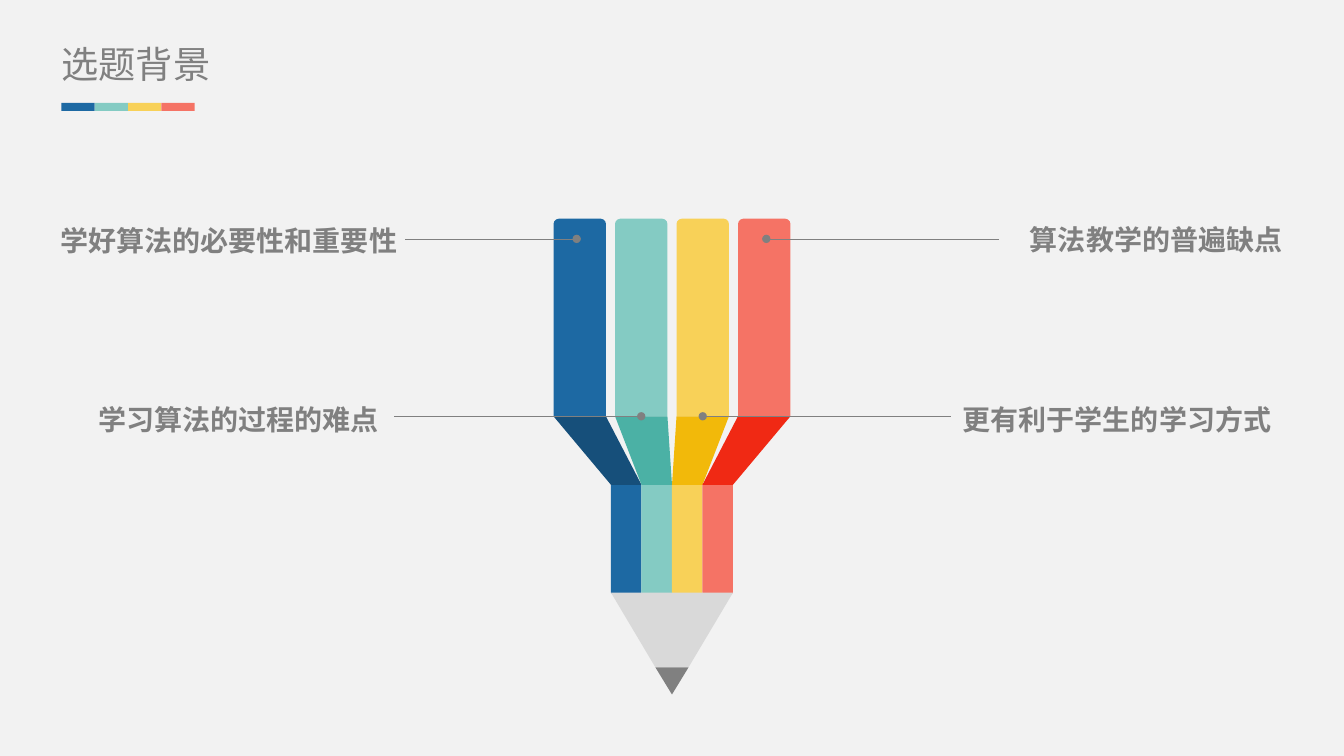
from lxml import etree
from pptx import Presentation
from pptx import util as u
from pptx.dml.color import RGBColor
from pptx.enum import lang, shapes, text
from pptx.oxml.ns import qn

COLOURS = {
    "background": "F2F2F2",
    "grey": "808080",
    "wood": "D9D9D9",
    "blue": "1D69A3",
    "teal": "84CBC3",
    "yellow": "F8D158",
    "red": "F57365",
    "dark blue": "164F7A",
    "dark teal": "4BB1A5",
    "dark yellow": "F2B90A",
    "dark red": "F02914",
}
STRIPES = ["blue", "teal", "yellow", "red"]

BAR_LEFT, BAR_STEP, BAR_WIDTH = 5.49, 0.61, 0.52
BAR_TOP, BAR_BOTTOM = 2.17, 4.13
BODY_LEFT, BODY_RIGHT, BODY_TOP, BODY_BOTTOM = 6.06, 7.27, 4.81, 5.88
BODY_STEP = (BODY_RIGHT - BODY_LEFT) / len(STRIPES)
STRIPE_TIP = 6.03
LEAD_LEFT, LEAD_RIGHT, LEAD_TOP, LEAD_TIP = 6.5, 6.83, 6.62, 6.89
SWATCH_WIDTH = 0.33

# text, box left, box top, line start x, dot x, line y
LABELS = [
    ("学好算法的必要性和重要性", 0.41, 2.22, 4.02, 5.72, 2.37),
    ("学习算法的过程的难点", 0.23, 3.99, 3.91, 6.36, 4.13),
    ("算法教学的普遍缺点", 9.19, 2.21, 9.91, 7.6, 2.37),
    ("更有利于学生的学习方式", 9.08, 3.99, 9.43, 6.97, 4.13),
]


class SlideBuilder:
    def __init__(self, slide):
        self.slide = slide
        fill = slide.background.fill
        fill.solid()
        fill.fore_color.rgb = self.colour("background")

    def colour(self, name):
        return RGBColor.from_string(COLOURS[name])

    def paint(self, shape, colour):
        shape.shadow.inherit = False
        shape.fill.solid()
        shape.fill.fore_color.rgb = self.colour(colour)
        shape.line.fill.background()

    def block(self, kind, left, top, width, height, colour):
        box = map(u.Inches, (left, top, width, height))
        shape = self.slide.shapes.add_shape(kind, *box)
        self.paint(shape, colour)
        return shape

    def polygon(self, points, colour):
        corners = [(u.Inches(x), u.Inches(y)) for x, y in points]
        builder = self.slide.shapes.build_freeform(*corners[0], scale=1.0)
        builder.add_line_segments(corners[1:], close=True)
        self.paint(builder.convert_to_shape(), colour)

    def set_text(self, shape, wording, size, font, bold, alignment):
        frame = shape.text_frame
        frame.text = wording
        frame.margin_left = frame.margin_right = 0
        frame.margin_top = frame.margin_bottom = 0
        frame.word_wrap = True
        frame.auto_size = text.MSO_AUTO_SIZE.SHAPE_TO_FIT_TEXT
        frame.vertical_anchor = text.MSO_ANCHOR.TOP
        paragraph = frame.paragraphs[0]
        paragraph.alignment = alignment
        paragraph.font.size = u.Pt(size)
        paragraph.font.name = font
        paragraph.font.bold = bold
        paragraph.font.color.rgb = self.colour("grey")
        paragraph.font.language_id = lang.MSO_LANGUAGE_ID.SIMPLIFIED_CHINESE

    def title(self, wording, left, top, width, height):
        title = self.slide.shapes.title
        title.left, title.top = u.Inches(left), u.Inches(top)
        title.width, title.height = u.Inches(width), u.Inches(height)
        self.set_text(title, wording, 26.6, "Noto Sans CJK SC", False, text.PP_ALIGN.LEFT)

    def label(self, wording, left, top):
        box = map(u.Inches, (left, top, 3.53, 0.34))
        shape = self.slide.shapes.add_textbox(*box)
        self.set_text(shape, wording, 20, "Calibri", True, text.PP_ALIGN.RIGHT)

    def pointer(self, start, dot, y):
        """Draw a level line from a label to a dot on the pencil."""
        ends = map(u.Inches, (start, y, dot, y))
        line = self.slide.shapes.add_connector(shapes.MSO_CONNECTOR.STRAIGHT, *ends)
        line.line.color.rgb = self.colour("grey")
        line.line.width = u.Pt(0.5)
        properties = line._element.spPr
        outline = properties.find(qn("a:ln"))
        etree.SubElement(outline, qn("a:tailEnd"), type="oval")
        etree.SubElement(properties, qn("a:effectLst"))


def draw_pencil(builder):
    for index, colour in enumerate(STRIPES):
        bar = BAR_LEFT + index * BAR_STEP
        left = BODY_LEFT + index * BODY_STEP
        right = left + BODY_STEP
        top = builder.block(shapes.MSO_SHAPE.ROUND_2_SAME_RECTANGLE, bar, BAR_TOP,
                            BAR_WIDTH, BAR_BOTTOM - BAR_TOP, colour)
        top.adjustments[0] = 0.1
        builder.polygon([(left, BODY_TOP), (right, BODY_TOP), (right, BODY_BOTTOM),
                         ((left + right) / 2, STRIPE_TIP), (left, BODY_BOTTOM)], colour)
        builder.polygon([(bar, BAR_BOTTOM), (bar + BAR_WIDTH, BAR_BOTTOM),
                         (right, BODY_TOP), (left, BODY_TOP)], f"dark {colour}")
    builder.polygon([(BODY_LEFT, BODY_BOTTOM), (BODY_RIGHT, BODY_BOTTOM),
                     (LEAD_RIGHT, LEAD_TOP), (LEAD_LEFT, LEAD_TOP)], "wood")
    builder.polygon([(LEAD_LEFT, LEAD_TOP), (LEAD_RIGHT, LEAD_TOP),
                     ((LEAD_LEFT + LEAD_RIGHT) / 2, LEAD_TIP)], "grey")


def main():
    presentation = Presentation()
    presentation.slide_width = u.Inches(13.33)
    presentation.slide_height = u.Inches(7.5)
    slide = presentation.slides.add_slide(presentation.slide_layouts[5])
    builder = SlideBuilder(slide)

    builder.title("选题背景", 0.61, 0.41, 4.05, 0.45)
    for index, colour in enumerate(STRIPES):
        builder.block(shapes.MSO_SHAPE.RECTANGLE, 0.61 + index * SWATCH_WIDTH, 1.02,
                      SWATCH_WIDTH, 0.08, colour)
    draw_pencil(builder)
    for wording, left, top, start, dot, y in LABELS:
        builder.label(wording, left, top)
        builder.pointer(start, dot, y)

    presentation.save("out.pptx")


if __name__ == "__main__":
    main()
